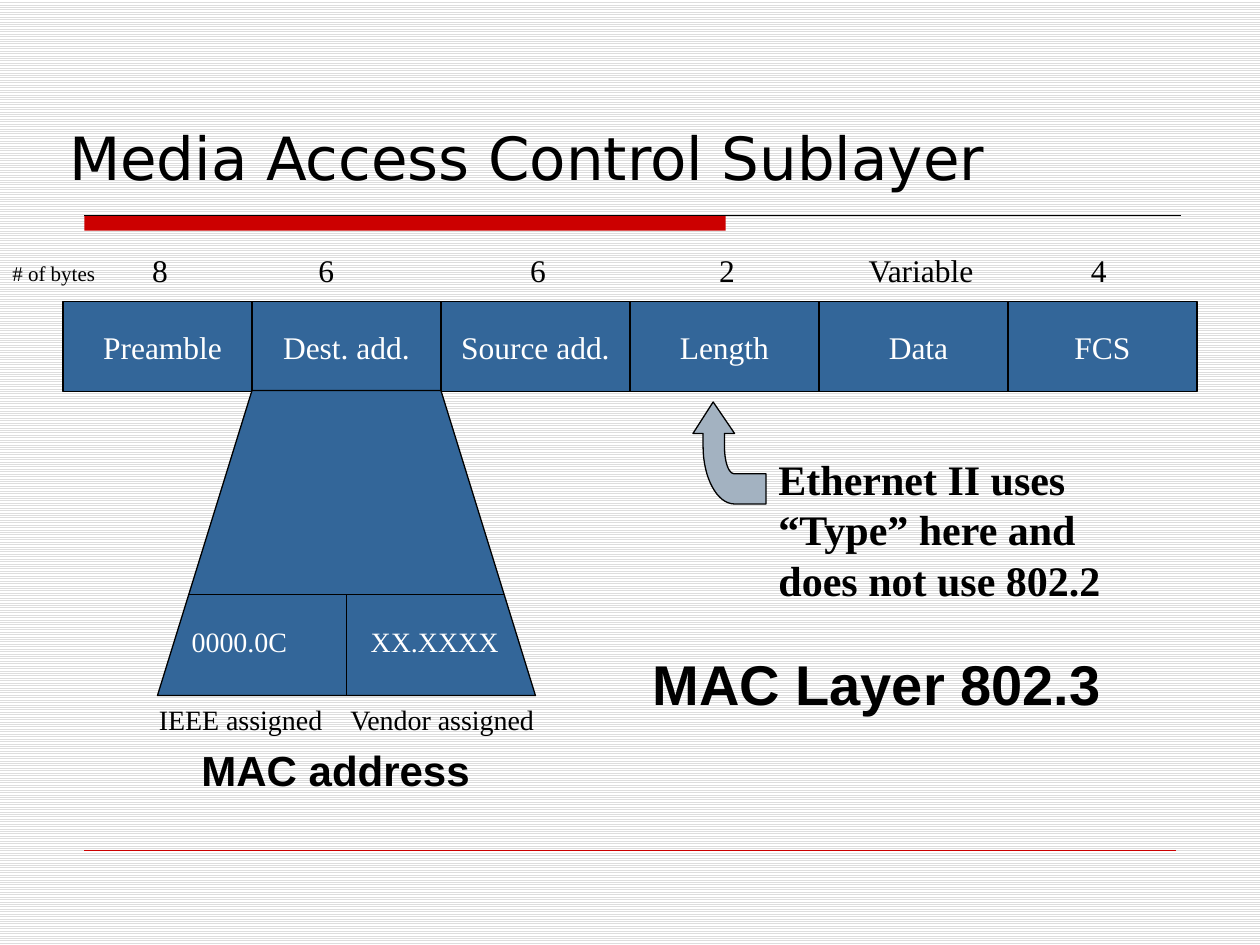
"""Build the Media Access Control Sublayer slide with its 802.3 frame diagram."""
import pptx
import pptx.dml.color
import pptx.enum.dml
import pptx.enum.shapes
import pptx.enum.text
import pptx.oxml.ns
import pptx.util
from lxml import etree

Inches = pptx.util.Inches
ALIGN = pptx.enum.text.PP_ALIGN
ANCHOR = pptx.enum.text.MSO_ANCHOR
SERIF, SANS, TITLE_FONT = "Times New Roman", "Arial", "DejaVu Sans"
COLORS = {"ink": "000000", "white": "FFFFFF", "stripe": "DDDDDD",
          "red": "CC0000", "blue": "336699", "steel": "A3B2C1"}

FIELDS = [("Preamble", 1.58), ("Dest. add.", 1.5), ("Source add.", 1.5),
          ("Length", 1.5), ("Data", 1.58), ("FCS", 1.5)]
FIELD_LEFT, FIELD_TOP, FIELD_PITCH, FIELD_HEIGHT = 0.5, 2.39, 1.5, 0.72
BYTE_COUNTS = [("8", 1.27), ("6", 2.59), ("6", 4.27),
               ("2", 5.77), ("Variable", 7.31), ("4", 8.72)]
ADDRESS_PARTS = [("0000.0C", 1.9, 4.91, "white"), ("XX.XXXX", 3.45, 4.91, "white"),
                 ("IEEE assigned", 1.91, 5.53, "ink"),
                 ("Vendor assigned", 3.51, 5.53, "ink")]
LABEL_WIDTH = 2
HEADINGS = [("MAC address", 1.5, 5.86, 3.33, 0.5, 24),
            ("MAC Layer 802.3", 5.08, 5.11, 4.33, 0.63, 32)]
ADDRESS_FUNNEL = [(4.25, 5.52), (3.5, 3.1), (2, 3.1), (1.25, 5.52)]
ADDRESS_LINES = [((1.5, 4.72), (4, 4.72)), ((2.75, 4.72), (2.75, 5.52))]


def color(name):
    return pptx.dml.color.RGBColor.from_string(COLORS[name])


def write(shape, content, size, font=SERIF, ink="ink", bold=False,
          align=ALIGN.LEFT, anchor=ANCHOR.TOP, wrap=True):
    frame = shape.text_frame
    frame.word_wrap, frame.vertical_anchor = wrap, anchor
    paragraph = frame.paragraphs[0]
    paragraph.alignment = align
    run = paragraph.add_run()
    run.text = content
    run.font.size, run.font.name, run.font.bold = pptx.util.Pt(size), font, bold
    run.font.color.rgb = color(ink)


def add_text(slide, content, left, top, width, height, size, **style):
    box = slide.shapes.add_textbox(*map(Inches, (left, top, width, height)))
    write(box, content, size, **style)


def add_label(slide, content, center, top, size, ink="ink"):
    add_text(slide, content, center - LABEL_WIDTH / 2, top, LABEL_WIDTH, 0.37,
             size, ink=ink, align=ALIGN.CENTER, wrap=False)


def paint(shape, fill, outline=True):
    shape.shadow.inherit = False
    shape.fill.solid()
    shape.fill.fore_color.rgb = color(fill)
    if outline:
        shape.line.color.rgb = color("ink")
        shape.line.width = pptx.util.Pt(0.75)
    else:
        shape.line.fill.background()


def add_rect(slide, left, top, width, height, fill, outline=True):
    rect = slide.shapes.add_shape(pptx.enum.shapes.MSO_SHAPE.RECTANGLE,
                                  *map(Inches, (left, top, width, height)))
    paint(rect, fill, outline)
    return rect


def add_line(slide, start, end, ink="ink", weight=0.75):
    line = slide.shapes.add_connector(pptx.enum.shapes.MSO_CONNECTOR.STRAIGHT,
                                      *map(Inches, start + end))
    line.line.color.rgb = color(ink)
    line.line.width = pptx.util.Pt(weight)
    etree.SubElement(line._element.spPr, pptx.oxml.ns.qn("a:effectLst"))


def add_outline(slide, points, fill):
    corners = [(Inches(x), Inches(y)) for x, y in points]
    builder = slide.shapes.build_freeform(*corners[0], scale=1.0)
    builder.add_line_segments(corners[1:], close=True)
    paint(builder.convert_to_shape(), fill)


def curve(p0, p1, p2, p3, steps=16):
    def blend(t, a, b, c, d):
        return ((1 - t) ** 3 * a + 3 * (1 - t) ** 2 * t * b
                + 3 * (1 - t) * t ** 2 * c + t ** 3 * d)
    return [tuple(blend(i / steps, *axis) for axis in zip(p0, p1, p2, p3))
            for i in range(steps + 1)]


def add_header(slide):
    add_text(slide, "Media Access Control Sublayer", 0.45, 0.83, 9.55, 0.75, 34,
             font=TITLE_FONT, anchor=ANCHOR.BOTTOM)
    add_rect(slide, 0.67, 1.71, 5.09, 0.12, "red", outline=False)
    add_line(slide, (0.67, 1.71), (9.37, 1.71))
    add_line(slide, (0.67, 6.75), (9.33, 6.75), "red", 0.25)


def add_frame_fields(slide):
    for index, (name, width) in enumerate(FIELDS):
        field = add_rect(slide, FIELD_LEFT + index * FIELD_PITCH, FIELD_TOP,
                         width, FIELD_HEIGHT, "blue")
        write(field, name, 18, ink="white", align=ALIGN.CENTER,
              anchor=ANCHOR.MIDDLE, wrap=False)
    add_text(slide, "# of bytes", 0, 2.02, 1, 0.3, 12)
    for count, center in BYTE_COUNTS:
        add_label(slide, count, center, 1.94, 18)


def add_type_note(slide):
    outer = curve((5.58, 3.54), (5.58, 3.79), (5.69, 4), (5.83, 4))
    inner = curve((5.83, 3.76), (5.78, 3.76), (5.75, 3.66), (5.75, 3.54))
    arrow = [(5.66, 3.19), (5.5, 3.44), (5.58, 3.44), *outer, (6.08, 4),
             (6.08, 3.76), *inner, (5.75, 3.44), (5.83, 3.44)]
    add_outline(slide, arrow, "steel")
    add_text(slide, "Ethernet II uses “Type” here and does not use 802.2",
             6.08, 3.55, 2.92, 1.3, 24, bold=True)


def add_mac_address(slide):
    add_outline(slide, ADDRESS_FUNNEL, "blue")
    for start, end in ADDRESS_LINES:
        add_line(slide, start, end)
    for content, center, top, ink in ADDRESS_PARTS:
        add_label(slide, content, center, top, 16, ink)
    for content, left, top, width, height, size in HEADINGS:
        add_text(slide, content, left, top, width, height, size,
                 font=SANS, bold=True)


def main():
    deck = pptx.Presentation()
    deck.slide_width, deck.slide_height = Inches(10), Inches(7.5)
    slide = deck.slides.add_slide(deck.slide_layouts[6])
    backdrop = slide.background.fill
    backdrop.patterned()
    backdrop.pattern = pptx.enum.dml.MSO_PATTERN.LIGHT_HORIZONTAL
    backdrop.fore_color.rgb = color("stripe")
    backdrop.back_color.rgb = color("white")
    add_header(slide)
    add_frame_fields(slide)
    add_type_note(slide)
    add_mac_address(slide)
    deck.save("out.pptx")


if __name__ == "__main__":
    main()
